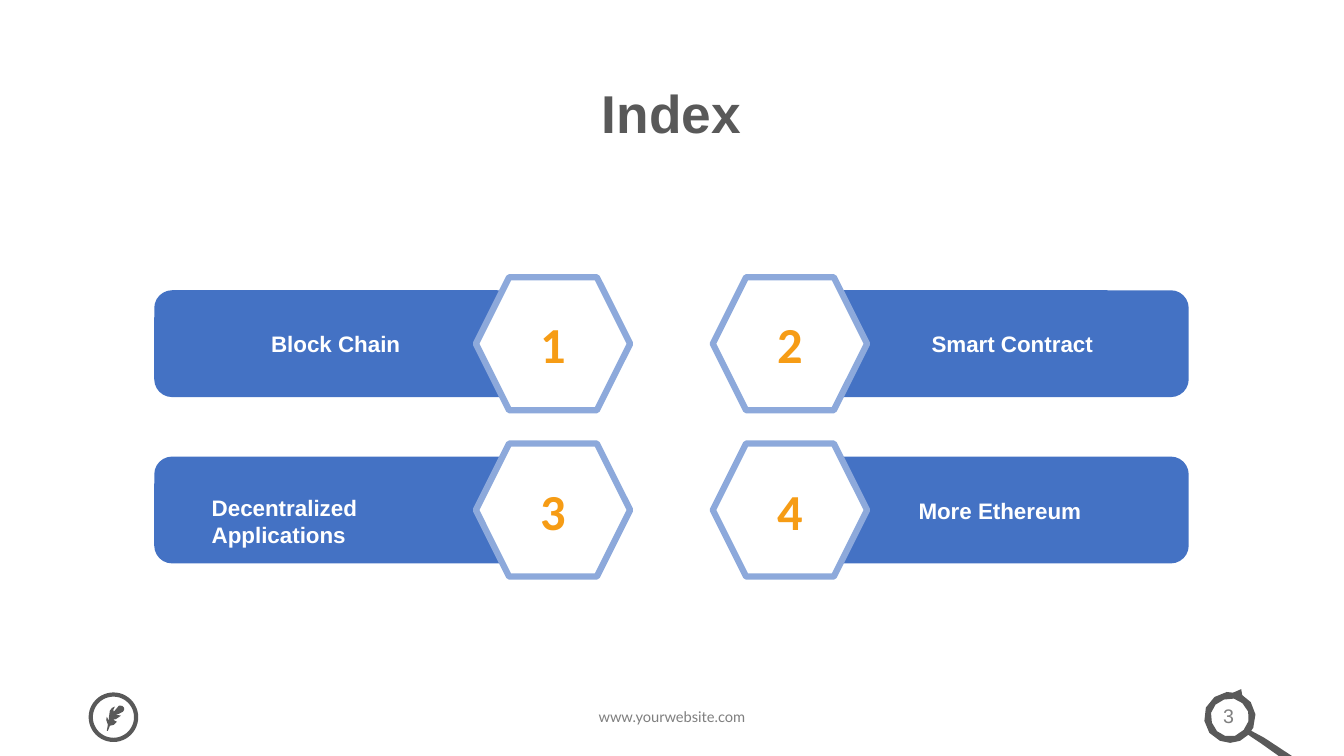
import pptx
import pptx.util
import pptx.dml.color
import pptx.enum.shapes
import pptx.enum.text

WIDTH, HEIGHT = 13.33, 7.5
BLUE, PALE_BLUE, ORANGE = "4472C4", "8DA9DB", "F69C15"
DARK, GRAY, WHITE = "595959", "7F7F7F", "FFFFFF"
SHAPE = pptx.enum.shapes.MSO_SHAPE
ALIGN = pptx.enum.text.PP_ALIGN
ANCHOR = pptx.enum.text.MSO_ANCHOR
inches = pptx.util.Inches

# Outlines in hundredths of an inch: pairs are lines, sixes are Bezier curves
LENS = [(35, 50), (25, 53, 15, 47, 12, 37), (8, 27, 14, 17, 24, 14),
        (34, 10, 44, 16, 48, 26), (51, 36, 45, 46, 35, 50)]
FRAME_AND_HANDLE = [
    (102, 77), (64, 52), (51, 45), (53, 42), (59, 29, 53, 14, 40, 8),
    (27, 3, 12, 9, 6, 22), (1, 35, 7, 50, 20, 55), (30, 59, 41, 57, 48, 49),
    (60, 57), (98, 84), (102, 82), (103, 79)]
FEATHER = [
    (7, 25), (9, 20), (12, 19, 14, 20, 16, 16), (12, 14),
    (12, 13, 17, 15, 20, 10), (15, 9), (17, 8, 20, 8, 22, 6),
    (23, 5, 24, 3, 23, 2), (23, 1, 20, -1, 18, 0), (17, 0, 14, 6, 13, 6),
    (12, 6, 12, 3, 14, 1), (12, 1, 10, 3, 9, 5), (7, 8, 9, 15, 8, 15),
    (6, 11), (5, 13, 5, 15, 7, 19), (6, 25)]


def color(value):
    return pptx.dml.color.RGBColor.from_string(value)


def paint(shape, fill=None, line=None, line_width=0):
    shape.shadow.inherit = False
    if fill:
        shape.fill.solid()
        shape.fill.fore_color.rgb = color(fill)
    else:
        shape.fill.background()
    if line:
        shape.line.color.rgb = color(line)
        shape.line.width = pptx.util.Pt(line_width)
    else:
        shape.line.fill.background()


def add_preset(shapes, kind, box, adjustments=(), **style):
    shape = shapes.add_shape(kind, *map(inches, box))
    for index, value in enumerate(adjustments):
        shape.adjustments[index] = value
    paint(shape, **style)
    return shape


def write(shape, text, size, font, ink, bold=False, align=ALIGN.CENTER,
          anchor=ANCHOR.TOP, inset=(0.1, 0.05), spacing=None):
    frame = shape.text_frame
    frame.word_wrap = True
    frame.vertical_anchor = anchor
    frame.margin_left = frame.margin_right = inches(inset[0])
    frame.margin_top = frame.margin_bottom = inches(inset[1])
    paragraph = frame.paragraphs[0]
    paragraph.alignment = align
    if spacing:
        paragraph.line_spacing = spacing
    run = paragraph.add_run()
    run.text = text
    run.font.size = pptx.util.Pt(size)
    run.font.name = font
    run.font.bold = bold
    run.font.color.rgb = color(ink)


def add_text(shapes, box, *content, **style):
    write(shapes.add_textbox(*map(inches, box)), *content, **style)


def trace(outline, steps):
    """Turn lines and Bezier curves into a list of points."""
    points = [outline[0]]
    for segment in outline[1:]:
        if len(segment) == 2:
            points.append(segment)
            continue
        controls = [points[-1], segment[:2], segment[2:4], segment[4:]]
        for step in range(1, steps + 1):
            t = step / steps
            weights = ((1 - t) ** 3, 3 * t * (1 - t) ** 2,
                       3 * t * t * (1 - t), t ** 3)
            points.append(tuple(
                sum(weight * control[axis]
                    for weight, control in zip(weights, controls))
                for axis in (0, 1)))
    return points


def add_outline(shapes, left, top, contours, fill, steps):
    builder = None
    for contour in contours:
        points = [(inches(left + x / 100), inches(top + y / 100))
                  for x, y in trace(contour, steps)]
        if builder is None:
            builder = shapes.build_freeform(*points[0], scale=1.0)
        else:
            builder.move_to(*points[0])
        builder.add_line_segments(points[1:], close=True)
    paint(builder.convert_to_shape(), fill=fill)


def index_card(shapes, box, number, label, label_box, align, hexagon_right):
    left, top, width, height = box
    hexagon_width, bar_width, bar_inset = 1.53, 4.21, 0.13
    bar_left = left if hexagon_right else left + width - bar_width
    hexagon_left = left + width - hexagon_width if hexagon_right else left
    add_preset(shapes, SHAPE.ROUNDED_RECTANGLE,
               (bar_left, top + bar_inset, bar_width, height - 2 * bar_inset),
               [0.167], fill=BLUE)
    hexagon = add_preset(shapes, SHAPE.HEXAGON,
                         (hexagon_left, top, hexagon_width, height),
                         [0.25, 1.155], fill=WHITE, line=PALE_BLUE, line_width=4.5)
    write(hexagon, number, 36, "Calibri", ORANGE, bold=True, anchor=ANCHOR.MIDDLE)
    label_left, label_top, label_width = label_box
    add_text(shapes, (left + label_left, top + label_top, label_width, 0.27),
             label, 16, "Arial", WHITE, bold=True, align=align, inset=(0, 0))


def index_grid(shapes, box):
    left, top, width, height = box
    card_width, card_height = 4.72, 1.32
    cards = [("Block Chain", (0.13, 0.53, 2.31), ALIGN.RIGHT),
             ("Smart Contract", (1.46, 0.53, 2.31), ALIGN.RIGHT),
             ("Decentralized Applications", (0.57, 0.5, 2.55), ALIGN.LEFT),
             ("More Ethereum", (2.04, 0.53, 2.31), ALIGN.LEFT)]
    for index, (label, label_box, align) in enumerate(cards):
        row, column = divmod(index, 2)
        card_box = (left + column * (width - card_width),
                    top + row * (height - card_height), card_width, card_height)
        index_card(shapes, card_box, str(index + 1), label, label_box, align,
                   hexagon_right=column == 0)


def page_badge(shapes, left, top, number):
    group = shapes.add_group_shape().shapes
    add_text(group, (left - 0.02, top + 0.13, 0.61, 0.34), number, 14, "Arial", GRAY)
    tip = add_preset(group, SHAPE.RIGHT_ARROW, (left + 0.33, top + 0.03, 0.11, 0.11),
                     [0.32, 0.64], fill=DARK)
    tip.rotation = 298.7
    add_outline(group, left, top, [LENS, FRAME_AND_HANDLE], DARK, steps=3)


def feather_badge(shapes, left, top):
    group = shapes.add_group_shape().shapes
    add_preset(group, SHAPE.OVAL, (left, top, 0.45, 0.45), line=DARK, line_width=3)
    add_outline(group, left + 0.1, top + 0.11, [FEATHER], DARK, steps=2)


def index_slide(presentation):
    slide = presentation.slides.add_slide(presentation.slide_layouts[6])
    shapes = slide.shapes
    # Title
    add_text(shapes, (1.66, 0.74, 10, 0.82), "Index", 38, "Arial",
             DARK, bold=True, anchor=ANCHOR.MIDDLE, spacing=0.9)
    # Numbered cards
    index_grid(shapes, (1.53, 2.75, 10.26, 2.97))
    # Footer
    add_text(shapes, ((WIDTH - 4.83) / 2, 6.97, 4.83, 0.29), "www.yourwebsite.com",
             10.5, "Lato", GRAY)
    page_badge(shapes, 11.9, 6.8, "3")
    feather_badge(shapes, 0.9, 6.89)


presentation = pptx.Presentation()
presentation.slide_width = inches(WIDTH)
presentation.slide_height = inches(HEIGHT)
index_slide(presentation)
presentation.save("out.pptx")
